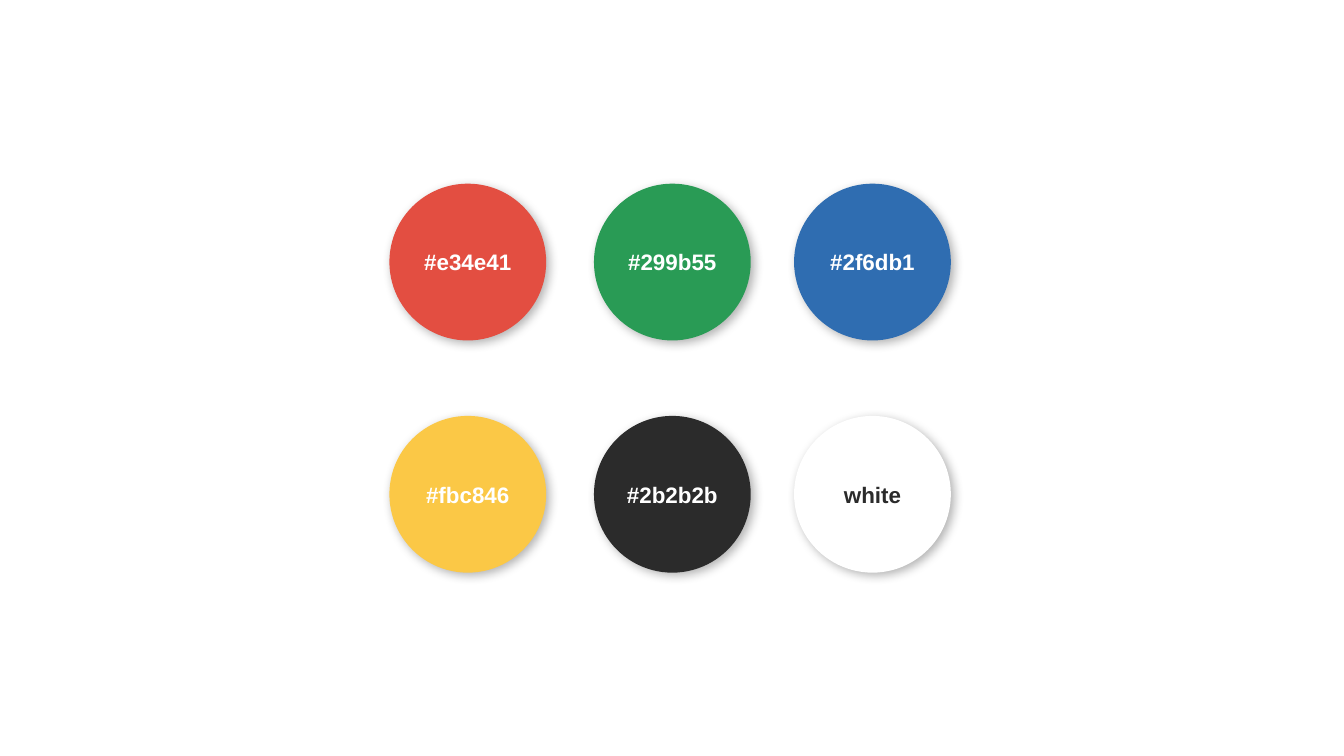
from dataclasses import dataclass

from lxml import etree
from pptx import Presentation
from pptx.dml.color import RGBColor
from pptx.enum.shapes import MSO_SHAPE
from pptx.enum.text import MSO_AUTO_SIZE, PP_ALIGN
from pptx.oxml.ns import qn
from pptx.util import Pt


@dataclass(frozen=True)
class Theme:
    """Colours, type and shadow of the palette slide."""
    red: str = "E34E41"
    green: str = "299B55"
    blue: str = "2F6DB1"
    yellow: str = "FBC846"
    dark: str = "2B2B2B"
    white: str = "FFFFFF"
    shadow: str = "000000"
    shadow_alpha: int = 30
    shadow_blur: float = 5.6
    shadow_distance: float = 2.2
    shadow_angle: int = 45
    font: str = "Arial"
    label_size: float = 12


THEME = Theme()
SWATCHES = [
    [("#e34e41", THEME.red, THEME.white),
     ("#299b55", THEME.green, THEME.white),
     ("#2f6db1", THEME.blue, THEME.white)],
    [("#fbc846", THEME.yellow, THEME.white),
     ("#2b2b2b", THEME.dark, THEME.white),
     ("white", THEME.white, THEME.dark)],
]


def add_soft_shadow(shape):
    """Give a shape the soft outer shadow of the theme."""
    shape.shadow.inherit = False
    effects = shape._element.spPr.find(qn("a:effectLst"))
    shadow = etree.SubElement(effects, qn("a:outerShdw"), {
        "blurRad": str(Pt(THEME.shadow_blur)),
        "dist": str(Pt(THEME.shadow_distance)),
        "dir": str(THEME.shadow_angle * 60000),
        "algn": "bl",
        "rotWithShape": "0",
    })
    color = etree.SubElement(shadow, qn("a:srgbClr"), val=THEME.shadow)
    etree.SubElement(color, qn("a:alpha"), val=str(THEME.shadow_alpha * 1000))


def add_circle(slide, left, top, size, color):
    """Draw one filled circle with a shadow."""
    circle = slide.shapes.add_shape(
        MSO_SHAPE.OVAL, Pt(left), Pt(top), Pt(size), Pt(size))
    circle.fill.solid()
    circle.fill.fore_color.rgb = RGBColor.from_string(color)
    circle.line.fill.background()
    add_soft_shadow(circle)


def add_label(slide, left, top, size, text, color, height=28.8):
    """Centre a bold label in the square of a circle."""
    box = slide.shapes.add_textbox(
        Pt(left), Pt(top + (size - height) / 2), Pt(size), Pt(height))
    frame = box.text_frame
    frame_format = {
        "word_wrap": True,
        "auto_size": MSO_AUTO_SIZE.SHAPE_TO_FIT_TEXT,
        "margin_left": Pt(7.2),
        "margin_top": Pt(7.2),
        "margin_right": Pt(7.2),
        "margin_bottom": Pt(7.2),
    }
    for name, value in frame_format.items():
        setattr(frame, name, value)
    paragraph = frame.paragraphs[0]
    paragraph.alignment = PP_ALIGN.CENTER
    run = paragraph.add_run()
    run.text = text
    font_format = {
        "name": THEME.font, "size": Pt(THEME.label_size), "bold": True}
    for name, value in font_format.items():
        setattr(run.font, name, value)
    run.font.color.rgb = RGBColor.from_string(color)


def add_palette(slide, left, top, size, column_offsets, row_pitch):
    """Place the swatch grid, circles first and labels above them."""
    cells = [
        (left + offset, top + row * row_pitch, swatch)
        for row, swatches in enumerate(SWATCHES)
        for offset, swatch in zip(column_offsets, swatches)
    ]
    for x, y, (_, fill, _) in cells:
        add_circle(slide, x, y, size, fill)
    for x, y, (text, _, color) in cells:
        add_label(slide, x, y, size, text, color)


def main():
    """Build and save the palette slide."""
    presentation = Presentation()
    presentation.slide_width = Pt(720)
    presentation.slide_height = Pt(405)
    slide = presentation.slides.add_slide(presentation.slide_layouts[6])
    slide.background.fill.solid()
    slide.background.fill.fore_color.rgb = RGBColor.from_string(THEME.white)
    add_palette(slide, left=208.6, top=98.4, size=84,
                column_offsets=(0, 109.6, 216.8), row_pitch=124.4)
    presentation.save("out.pptx")


if __name__ == "__main__":
    main()
